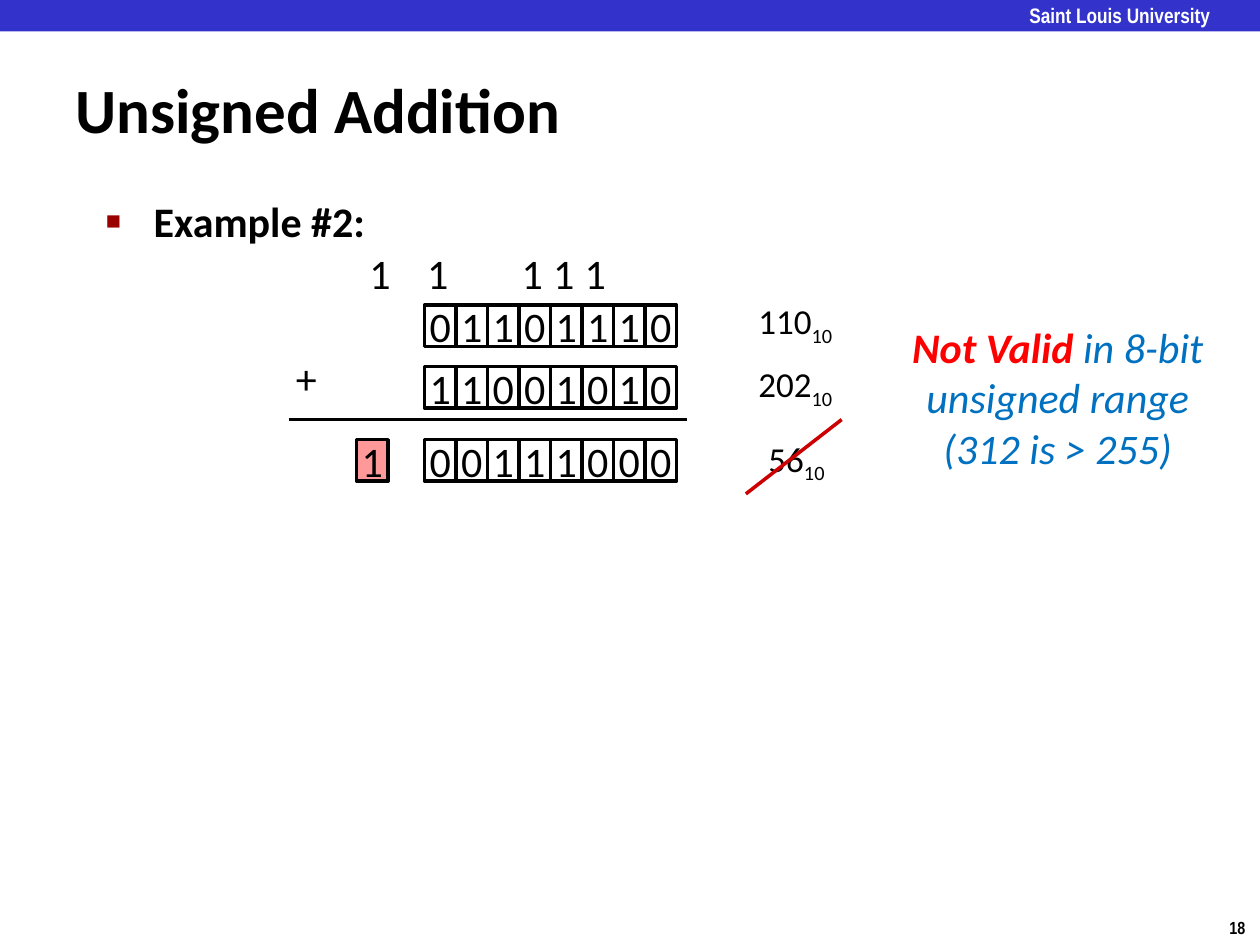
"""Build a slide that shows an unsigned binary addition with overflow."""
from dataclasses import dataclass

from lxml import etree
from pptx import Presentation
from pptx.dml.color import RGBColor
from pptx.enum.shapes import MSO_CONNECTOR, MSO_SHAPE
from pptx.enum.text import MSO_ANCHOR, MSO_AUTO_SIZE, PP_ALIGN
from pptx.oxml.ns import qn
from pptx.util import Inches, Pt

RECT = MSO_SHAPE.RECTANGLE
STRAIGHT = MSO_CONNECTOR.STRAIGHT
MIDDLE = MSO_ANCHOR.MIDDLE
FIXED = MSO_AUTO_SIZE.NONE
LEFT, CENTER = PP_ALIGN.LEFT, PP_ALIGN.CENTER


@dataclass(frozen=True)
class Theme:
    font: str = "Calibri"
    narrow: str = "Arial Narrow"
    black: str = "000000"
    white: str = "FFFFFF"
    bar: str = "3333CC"
    bullet: str = "990000"
    carry: str = "FF9999"
    strike: str = "CC0000"
    alert: str = "FF0000"
    note: str = "0070C0"
    title: int = 36
    text: int = 24
    value: int = 20
    head: int = 12
    page: int = 10
    line: int = 2


theme = Theme()


def add_run(para, text, size=theme.text, color=theme.black, bold=False,
            italic=False, name=theme.font):
    run = para.add_run()
    run.text = text
    font = run.font
    font.size, font.name = Pt(size), name
    font.bold, font.italic = bold, italic
    font.color.rgb = RGBColor.from_string(color)
    return run


def add_cell(parent, left, top, digit, fill=theme.white):
    cell = parent.add_shape(RECT, Inches(left), Inches(top), Inches(0.25), Inches(0.33))
    cell.shadow.inherit = False
    cell.fill.solid()
    cell.fill.fore_color.rgb = RGBColor.from_string(fill)
    cell.line.color.rgb = RGBColor.from_string(theme.black)
    cell.line.width = Pt(theme.line)
    frame = cell.text_frame
    frame.word_wrap = False
    frame.vertical_anchor = MIDDLE
    para = frame.paragraphs[0]
    para.alignment = CENTER
    add_run(para, digit)


deck = Presentation()
deck.slide_width, deck.slide_height = Inches(10), Inches(7.5)
slide = deck.slides.add_slide(deck.slide_layouts[1])
shapes = slide.shapes

bar = shapes.add_shape(RECT, 0, 0, Inches(10), Inches(0.25))
bar.shadow.inherit = False
bar.fill.solid()
bar.fill.fore_color.rgb = RGBColor.from_string(theme.bar)
bar.line.fill.background()

school = shapes.add_textbox(Inches(8.17), Inches(0.02), Inches(1.67), Inches(0.19))
frame = school.text_frame
frame.word_wrap = True
frame.margin_left = frame.margin_right = frame.margin_top = frame.margin_bottom = 0
add_run(frame.paragraphs[0], "Saint Louis University", theme.head, theme.white,
        bold=True, name=theme.narrow)

title = shapes.title
title.left, title.top = Inches(0.5), Inches(0.56)
title.width, title.height = Inches(6.98), Inches(0.6)
frame = title.text_frame
frame.auto_size = FIXED
frame.vertical_anchor = MIDDLE
para = frame.paragraphs[0]
para.alignment = LEFT
add_run(para, "Unsigned Addition", theme.title, bold=True)

body = slide.placeholders[1]
body.left, body.top = Inches(0.74), Inches(1.5)
body.width, body.height = Inches(8.84), Inches(0.5)
frame = body.text_frame
frame.auto_size = FIXED
para = frame.paragraphs[0]
props = para._p.get_or_add_pPr()
props.set("marL", str(Inches(0.38)))
props.set("indent", str(-Inches(0.38)))
tint = etree.SubElement(props, qn("a:buClr"))
etree.SubElement(tint, qn("a:srgbClr"), val=theme.bullet)
etree.SubElement(props, qn("a:buSzPct"), val="60000")
etree.SubElement(props, qn("a:buChar"), char="■")
para.space_before = Pt(0)
add_run(para, "Example #2:", bold=True)

rows = (
    ("01101110", 2.42, "110", 5.92, 2.33, 0.82),
    ("00111000", 3.49, "56", 6, 3.42, 0.68),
    ("11001010", 2.91, "202", 5.92, 2.83, 0.82),
)
for bits, top, value, left, high, width in rows:
    parent = shapes.add_group_shape().shapes
    for col in (0, 1, 2, 5, 6, 7, 3, 4):
        add_cell(parent, 3.37 + 0.25 * col, top, bits[col])
    box = parent.add_textbox(Inches(left), Inches(high), Inches(width), Inches(0.44))
    box.text_frame.word_wrap = False
    para = box.text_frame.paragraphs[0]
    add_run(para, value, theme.value)
    base = add_run(para, "10", theme.value)
    base._r.get_or_add_rPr().set("baseline", "-25000")

add_cell(shapes, 2.83, 3.49, "1", theme.carry)

unit = Inches(1) // 24
labels = [("+", 54, 66)]
labels += [("1", left, 46) for left in (109, 79, 103, 97, 68)]
for text, left, top in labels:
    box = shapes.add_textbox(left * unit, top * unit, Inches(0.37), Inches(0.5))
    box.text_frame.word_wrap = False
    add_run(box.text_frame.paragraphs[0], text)

note = shapes.add_textbox(Inches(7.13), Inches(2.5), Inches(2.53), Inches(1.31))
frame = note.text_frame
frame.word_wrap = False
lines = (
    (("Not Valid ", theme.alert, True), ("in 8-bit", theme.note, False)),
    (("unsigned range", theme.note, False),),
    (("(312 is > 255)", theme.note, False),),
)
for index, parts in enumerate(lines):
    para = frame.add_paragraph() if index else frame.paragraphs[0]
    para.alignment = CENTER
    for text, color, bold in parts:
        add_run(para, text, color=color, bold=bold, italic=True)

strokes = (
    (2.29, 3.33, 5.45, 3.33, theme.black),
    (5.92, 3.92, 6.68, 3.33, theme.strike),
)
for *ends, color in strokes:
    stroke = shapes.add_connector(STRAIGHT, *map(Inches, ends))
    stroke.line.color.rgb = RGBColor.from_string(color)
    stroke.line.width = Pt(theme.line)
    etree.SubElement(stroke._element.spPr, qn("a:effectLst"))

page = shapes.add_textbox(Inches(9.66), Inches(7.23), Inches(0.34), Inches(0.27))
page.text_frame.word_wrap = False
add_run(page.text_frame.paragraphs[0], "18", theme.page, bold=True, name=theme.narrow)

deck.save("out.pptx")
